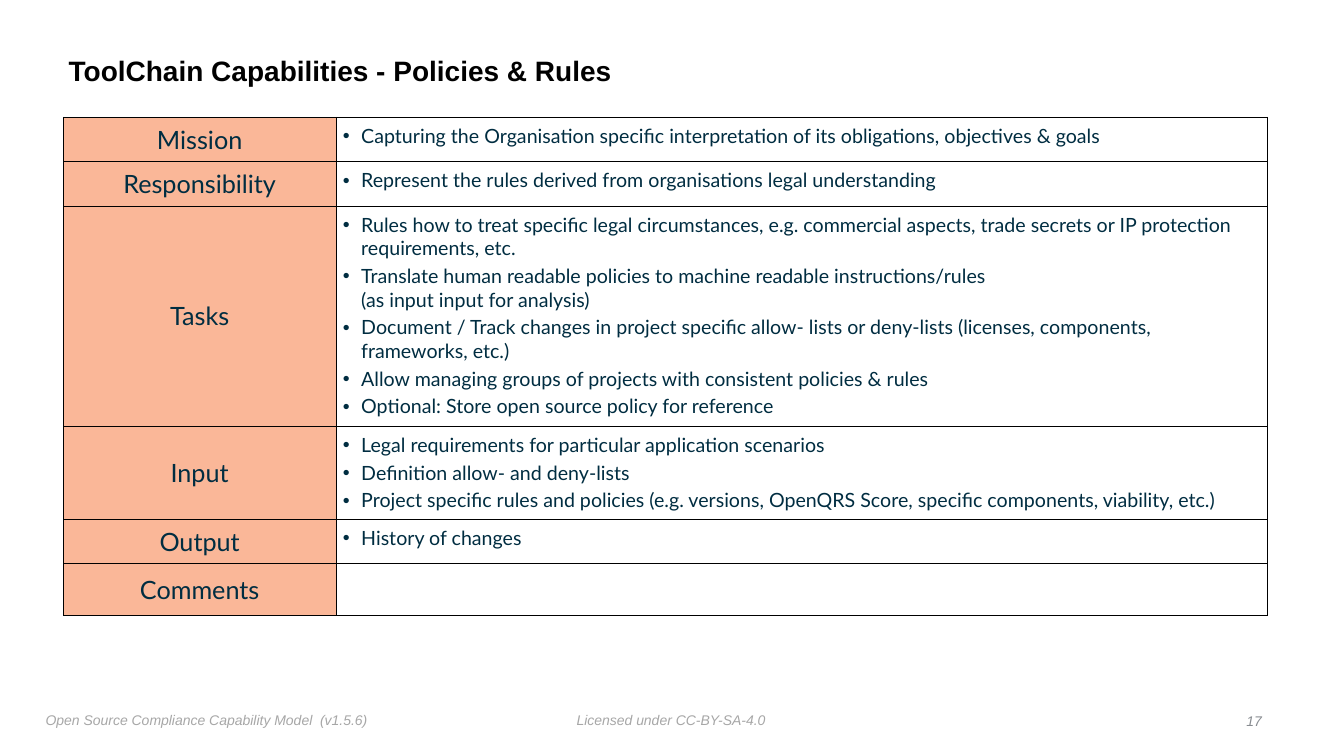
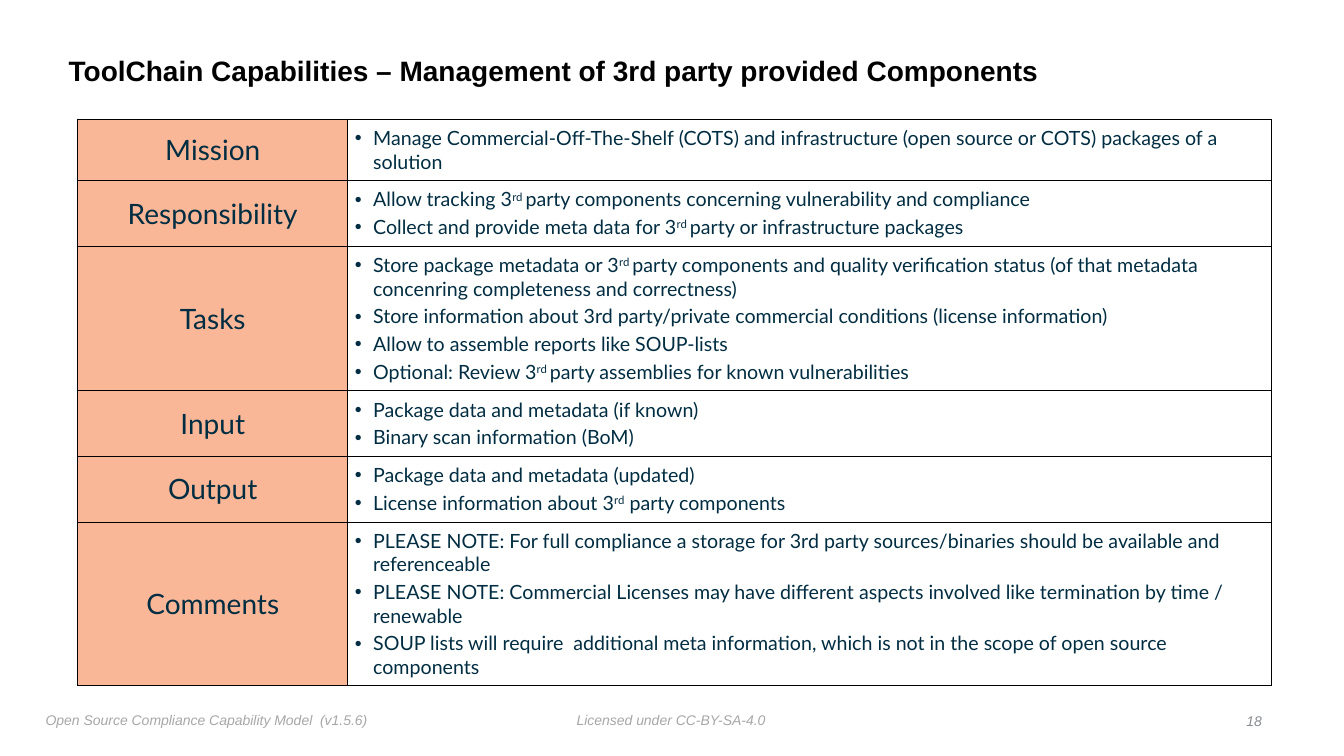
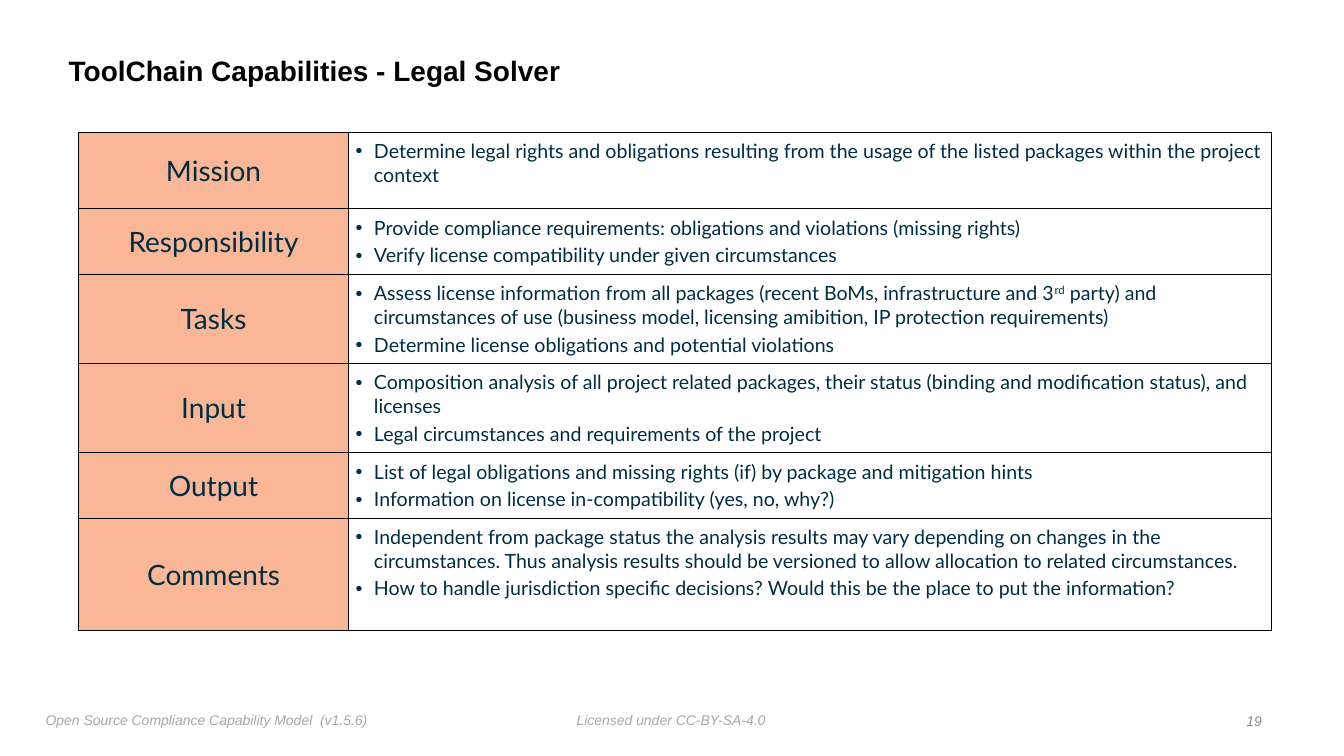
from copy import deepcopy
from dataclasses import dataclass

from lxml.etree import SubElement
from pptx import Presentation
from pptx.dml.color import RGBColor as RGB
from pptx.enum.text import MSO_ANCHOR as ANCHOR, MSO_AUTO_SIZE as AUTO, PP_ALIGN as ALIGN
from pptx.oxml.ns import qn
from pptx.util import Cm, Pt


@dataclass(frozen=True)
class Theme:
    """Colours, fonts and sizes shared by all slides."""
    title: str = "000000"
    text: str = "002D41"
    label: str = "FAB798"
    border: str = "000000"
    footer: str = "A7A7A7"
    number: str = "888C91"
    head_font: str = "Arial"
    body_font: str = "Lato"
    title_size: int = 20
    body_size: int = 14
    footer_size: int = 10
    border_width: float = 0.5
    label_share: float = 0.2263
    text_inset: float = 0.13
    cell_inset: float = 0.18
    indent: float = 0.46


T = Theme()
LABELS = ["Mission", "Responsibility", "Tasks", "Input", "Output", "Comments"]


def write(p, text, font=T.body_font, size=T.body_size, color=T.text,
          bold=False, italic=False, align=ALIGN.LEFT):
    """Write text into a paragraph; ^ encloses superscript, newline breaks the line."""
    p.alignment = align
    for i, line in enumerate(text.split("\n")):
        if i:
            p.add_line_break()
            p._p[-1].append(deepcopy(p.runs[-1]._r.rPr))
        for j, part in enumerate(line.split("^")):
            r = p.add_run()
            r.text = part
            f = r.font
            f.name, f.size, f.bold, f.italic = font, Pt(size), bold, italic
            f.color.rgb = RGB.from_string(color)
            if j % 2:
                r._r.rPr.set("baseline", "30000")


def add_text(s, box, text, anchor=ANCHOR.TOP, wrap=False, spacing=None, **fmt):
    """Add a text box that fills the given box."""
    tf = s.shapes.add_textbox(*map(Cm, box)).text_frame
    tf.word_wrap = wrap
    tf.auto_size = AUTO.NONE if wrap else AUTO.SHAPE_TO_FIT_TEXT
    tf.vertical_anchor = anchor
    tf.margin_left = tf.margin_right = tf.margin_top = tf.margin_bottom = Cm(T.text_inset)
    p = tf.paragraphs[0]
    p.line_spacing = spacing
    write(p, text, font=T.head_font, **fmt)


def add_footer(s, box, number):
    """Place the model name, the licence and the page number in a strip."""
    x, y, w, h = box
    fmt = dict(size=T.footer_size, italic=True)
    add_text(s, (x + 13.38, y, 5.05, h), "Licensed under CC-BY-SA-4.0", color=T.footer, **fmt)
    add_text(s, (x, y, 8.43, h), "Open Source Compliance Capability Model  (v1.5.6)",
             color=T.footer, **fmt)
    add_text(s, (x + w - 0.69, y + 0.05, 0.69, h), str(number), anchor=ANCHOR.MIDDLE,
             color=T.number, align=ALIGN.RIGHT, **fmt)


def style_cell(cell, inset, fill=None):
    """Set the borders, margins and fill of a cell."""
    cell.margin_left = cell.margin_right = cell.margin_top = cell.margin_bottom = Cm(inset)
    tc_pr = cell._tc.get_or_add_tcPr()
    for side in ("lnL", "lnR", "lnT", "lnB"):
        ln = SubElement(tc_pr, qn(f"a:{side}"), w=str(Pt(T.border_width)))
        SubElement(SubElement(ln, qn("a:solidFill")), qn("a:srgbClr"), val=T.border)
    if fill:
        cell.fill.solid()
        cell.fill.fore_color.rgb = RGB.from_string(fill)
    else:
        cell.fill.background()


def add_bullet(p, text):
    """Write one bulleted paragraph."""
    write(p, text)
    p.space_before = Pt(3)
    p_pr = p._p.get_or_add_pPr()
    p_pr.set("marL", str(Cm(T.indent)))
    p_pr.set("indent", str(-Cm(T.indent)))
    SubElement(p_pr, qn("a:buFont"), typeface="Arial")
    SubElement(p_pr, qn("a:buChar"), char="•")


def add_capability_table(s, box, heights, bullets, label_size):
    """Add a table with labels on the left and bullet lists on the right."""
    x, y, w = box
    frame = s.shapes.add_table(len(LABELS), 2, Cm(x), Cm(y), Cm(w), Cm(sum(heights)))
    table = frame.table
    table.first_row = table.horz_banding = False
    table.columns[0].width = Cm(w * T.label_share)
    table.columns[1].width = Cm(w * (1 - T.label_share))
    for i, (label, height, items) in enumerate(zip(LABELS, heights, bullets)):
        table.rows[i].height = Cm(height)
        name, content = table.cell(i, 0), table.cell(i, 1)
        style_cell(name, 0, T.label)
        style_cell(content, T.cell_inset)
        name.vertical_anchor = ANCHOR.MIDDLE
        write(name.text_frame.paragraphs[0], label, size=label_size, align=ALIGN.CENTER)
        tf = content.text_frame
        for j, item in enumerate(items):
            add_bullet(tf.add_paragraph() if j else tf.paragraphs[0], item)


def add_capability_slide(prs, number, title, box, heights, bullets, label_size=20):
    """Add one slide with title, capability table and footer."""
    s = prs.slides.add_slide(prs.slide_layouts[6])
    add_text(s, (1.6, 1, 27.3, 1.65), f"ToolChain Capabilities {title}", anchor=ANCHOR.MIDDLE,
             wrap=True, spacing=0.9, size=T.title_size, color=T.title, bold=True)
    add_capability_table(s, box, heights, bullets, label_size)
    add_footer(s, (1.02, 17.8, 30.91, 0.64), number)


POLICIES = [
    ["Capturing the Organisation specific interpretation of its obligations, objectives & goals"],
    ["Represent the rules derived from organisations legal understanding"],
    ["Rules how to treat specific legal circumstances, e.g. commercial aspects, trade secrets "
     "or IP protection requirements, etc.",
     "Translate human readable policies to machine readable instructions/rules\n"
     "(as input input for analysis)",
     "Document / Track changes in project specific allow- lists or deny-lists "
     "(licenses, components, frameworks, etc.)",
     "Allow managing groups of projects with consistent policies & rules",
     "Optional: Store open source policy for reference"],
    ["Legal requirements for particular application scenarios",
     "Definition allow- and deny-lists",
     "Project specific rules and policies (e.g. versions, OpenQRS Score, "
     "specific components, viability, etc.)"],
    ["History of changes"],
    [],
]

THIRD_PARTY = [
    ["Manage Commercial-Off-The-Shelf (COTS) and infrastructure (open source or COTS) "
     "packages of a solution"],
    ["Allow tracking 3^rd ^party components concerning vulnerability and compliance",
     "Collect and provide meta data for 3^rd ^party or infrastructure packages"],
    ["Store package metadata or 3^rd ^party components and quality verification status "
     "(of that metadata concenring completeness and correctness)",
     "Store information about 3rd party/private commercial conditions (license information)",
     "Allow to assemble reports like SOUP-lists",
     "Optional: Review 3^rd ^party assemblies for known vulnerabilities"],
    ["Package data and metadata (if known)",
     "Binary scan information (BoM)"],
    ["Package data and metadata (updated)",
     "License information about 3^rd^ party components"],
    ["PLEASE NOTE: For full compliance a storage for 3rd party sources/binaries "
     "should be available and referenceable",
     "PLEASE NOTE: Commercial Licenses may have different aspects involved "
     "like termination by time / renewable",
     "SOUP lists will require  additional meta information, which is not in the scope "
     "of open source components"],
]

LEGAL_SOLVER = [
    ["Determine legal rights and obligations resulting from the usage of the listed packages "
     "within the project context"],
    ["Provide compliance requirements: obligations and violations (missing rights)",
     "Verify license compatibility under given circumstances"],
    ["Assess license information from all packages (recent BoMs, infrastructure and 3^rd^ party) "
     "and circumstances of use (business model, licensing amibition, "
     "IP protection requirements)",
     "Determine license obligations and potential violations"],
    ["Composition analysis of all project related packages, their status "
     "(binding and modification status), and licenses",
     "Legal circumstances and requirements of the project"],
    ["List of legal obligations and missing rights (if) by package and mitigation hints",
     "Information on license in-compatibility (yes, no, why?)"],
    ["Independent from package status the analysis results may vary depending on changes "
     "in the circumstances. Thus analysis results should be versioned to allow allocation "
     "to related circumstances.",
     "How to handle jurisdiction specific decisions? "
     "Would this be the place to put the information?"],
]


def main():
    """Build and save the presentation."""
    prs = Presentation()
    prs.slide_width, prs.slide_height = Cm(33.87), Cm(19.05)
    add_capability_slide(prs, 17, "- Policies & Rules", (1.6, 2.95, 30.33),
                         [1.12, 1.12, 5.54, 2.33, 1.12, 1.3], POLICIES, label_size=18)
    add_capability_slide(prs, 18, "– Management of 3rd party provided Components",
                         (1.96, 3, 30.07), [1.53, 1.64, 3.63, 1.64, 1.64, 4.13], THIRD_PARTY)
    add_capability_slide(prs, 19, "- Legal Solver", (1.98, 3.33, 30.07),
                         [1.93, 1.64, 2.23, 2.23, 1.64, 2.82], LEGAL_SOLVER)
    prs.save("out.pptx")


main()
